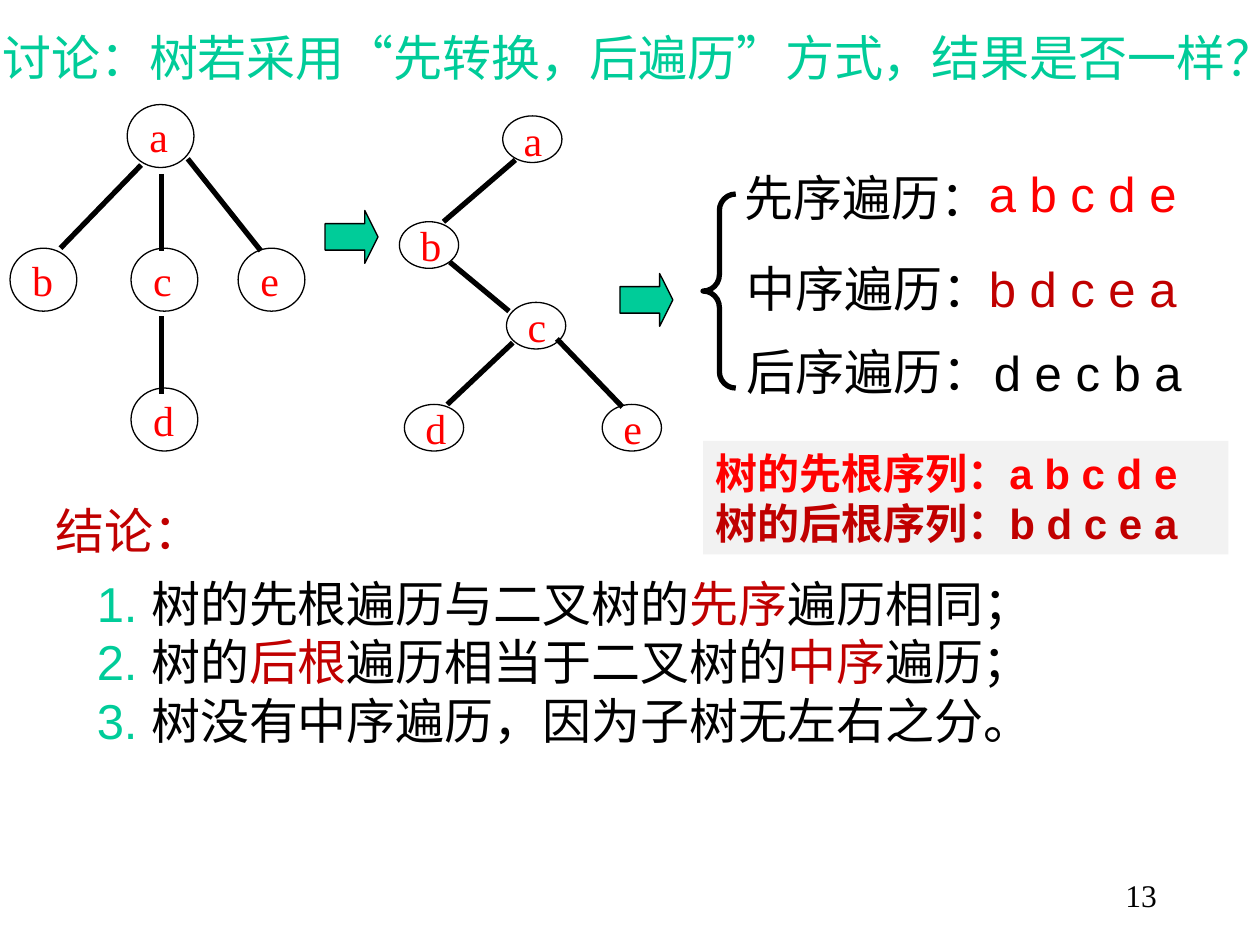
from lxml import etree
from pptx import Presentation
from pptx.dml.color import RGBColor
from pptx.enum.shapes import MSO_CONNECTOR, MSO_SHAPE
from pptx.enum.text import MSO_ANCHOR, PP_ALIGN
from pptx.oxml.ns import qn
from pptx.util import Inches, Pt

OVAL, RECTANGLE = MSO_SHAPE.OVAL, MSO_SHAPE.RECTANGLE
ARROW, BRACE = MSO_SHAPE.RIGHT_ARROW, MSO_SHAPE.LEFT_BRACE
STRAIGHT = MSO_CONNECTOR.STRAIGHT
LEFT, RIGHT = PP_ALIGN.LEFT, PP_ALIGN.RIGHT
TOP, MIDDLE = MSO_ANCHOR.TOP, MSO_ANCHOR.MIDDLE
SANS, SERIF = "Arial", "Times New Roman"
COLORS = {
    "green": "00CC99",
    "red": "FF0000",
    "dark_red": "C00000",
    "black": "000000",
    "pale": "F2F2F2",
}


def color(name):
    """Return the named colour."""
    return RGBColor.from_string(COLORS[name])


def write(shape, paragraphs, size=28, font=SANS, ink="black", bold=False,
          align=LEFT, anchor=TOP, wrap=True):
    """Fill a shape with paragraphs of (text, overrides) spans."""
    frame = shape.text_frame
    frame.word_wrap = wrap
    frame.vertical_anchor = anchor
    for index, spans in enumerate(paragraphs):
        para = frame.add_paragraph() if index else frame.paragraphs[0]
        para.alignment = align
        for text, changes in spans:
            span = para.add_run()
            span.text = text
            span.font.size = Pt(size)
            span.font.bold = bold
            span.font.name = changes.get("font", font)
            span.font.color.rgb = color(changes.get("ink", ink))


def add_text(shapes, left, top, width, height, paragraphs, **format):
    """Add a text box."""
    box = shapes.add_textbox(Inches(left), Inches(top), Inches(width), Inches(height))
    write(box, paragraphs, **format)


def add_shape(shapes, kind, left, top, width, height, fill=None, line=None):
    """Add a preset shape with an optional fill and black outline width."""
    shape = shapes.add_shape(kind, Inches(left), Inches(top), Inches(width), Inches(height))
    shape.shadow.inherit = False
    if fill:
        shape.fill.solid()
        shape.fill.fore_color.rgb = color(fill)
    else:
        shape.fill.background()
    if line:
        shape.line.color.rgb = color("black")
        shape.line.width = Pt(line)
    else:
        shape.line.fill.background()
    return shape


def add_tree(page, left, top, node_size, nodes, edges):
    """Draw a tree from node and edge offsets within its box."""
    shapes = page.shapes.add_group_shape().shapes
    for letter, (x, y) in nodes.items():
        node = add_shape(shapes, OVAL, left + x, top + y, *node_size, line=0.75)
        write(node, [[(letter, {})]], size=24, font=SERIF, ink="red",
              anchor=MIDDLE, wrap=False)
    for x1, y1, x2, y2 in edges:
        edge = shapes.add_connector(STRAIGHT, Inches(left + x1), Inches(top + y1),
                                    Inches(left + x2), Inches(top + y2))
        edge.line.color.rgb = color("black")
        edge.line.width = Pt(3)
        etree.SubElement(edge.line._get_or_add_ln().getparent(), qn("a:effectLst"))


def add_step_arrow(page, left, top):
    """Draw a block arrow between two stages."""
    arrow = add_shape(page.shapes, ARROW, left, top, 0.42, 0.42, fill="green", line=0.75)
    arrow.adjustments[0], arrow.adjustments[1] = 0.5, 0.25


def add_title(page, left, top, width):
    """Write the question for discussion."""
    quote = {"font": SERIF}
    spans = [("讨论：树若采用", {}), ("“", quote), ("先转换，后遍历", {}),
             ("”", quote), ("方式，结果是否一样？", {})]
    add_text(page.shapes, left, top, width, 0.57, [spans], ink="green")


def add_traversals(page, left, top):
    """List the binary tree traversals beside a brace."""
    brace = add_shape(page.shapes, BRACE, left, top + 0.29, 0.26, 1.54, line=3)
    brace.adjustments[0], brace.adjustments[1] = 0.5, 0.5
    rows = [
        ("先序遍历：", 0.23, 0.03, "a b c d e", 2.17, 0, "red"),
        ("中序遍历：", 0.25, 0.75, "b d c e a", 2.17, 0.75, "dark_red"),
        ("后序遍历：", 0.25, 1.41, "d e c b a", 2.21, 1.42, "black"),
    ]
    for label, label_x, label_y, order, order_x, order_y, ink in rows:
        add_text(page.shapes, left + label_x, top + label_y, 2.14, 0.57,
                 [[(label, {})]], wrap=False)
        add_text(page.shapes, left + order_x, top + order_y, 1.83, 0.57,
                 [[(order, {})]], ink=ink)


def add_sequences(page, left, top, width, height):
    """Show the root-order sequences on a pale panel."""
    panel = add_shape(page.shapes, RECTANGLE, left, top, width, height, fill="pale")
    write(panel, [[("树的先根序列：a b c d e", {})],
                  [("树的后根序列：b d c e a", {"ink": "dark_red"})]],
          size=24, ink="red", bold=True)


def add_conclusion(page, left, top):
    """Write the heading and numbered conclusions."""
    add_text(page.shapes, left, top, 1.36, 0.57, [[("结论：", {})]],
             ink="dark_red", wrap=False)
    number, key = {"ink": "green"}, {"ink": "dark_red"}
    points = [
        [("树的先根遍历与二叉树的", {}), ("先序", key), ("遍历相同；", {})],
        [("树的", {}), ("后根", key), ("遍历相当于二叉树的", {}), ("中序", key), ("遍历；", {})],
        [("树没有中序遍历，因为子树无左右之分。", {})],
    ]
    lines = [[(f"{index}. ", number), *spans] for index, spans in enumerate(points, 1)]
    add_text(page.shapes, left + 0.33, top + 0.58, 8.5, 1.5, lines)


def main():
    """Build and save the slide."""
    deck = Presentation()
    deck.slide_width, deck.slide_height = Inches(10), Inches(7.5)
    page = deck.slides.add_slide(deck.slide_layouts[6])
    add_title(page, -0.08, 0.17, 10)
    add_tree(page, 3.17, 0.92, (0.47, 0.37),
             {"a": (0.82, 0), "b": (0, 0.84), "c": (0.85, 1.48),
              "d": (0.04, 2.29), "e": (1.61, 2.29)},
             [(0.92, 0.35, 0.35, 0.84), (0.4, 1.16, 0.87, 1.55),
              (0.9, 1.8, 0.38, 2.29), (1.25, 1.77, 1.77, 2.31)])
    add_tree(page, 0.08, 0.83, (0.53, 0.5),
             {"a": (0.93, 0), "b": (0, 1.14), "c": (0.96, 1.14),
              "d": (0.96, 2.25), "e": (1.81, 1.14)},
             [(1.04, 0.48, 0.4, 1.14), (1.2, 0.55, 1.2, 1.16),
              (1.41, 0.43, 1.99, 1.16), (1.2, 1.68, 1.2, 2.3)])
    add_step_arrow(page, 2.58, 1.67)
    add_step_arrow(page, 4.92, 2.17)
    add_traversals(page, 5.58, 1.25)
    add_sequences(page, 5.58, 3.5, 4.17, 0.9)
    add_conclusion(page, 0.34, 3.92)
    add_text(page.shapes, 7.2, 6.9, 2.08, 0.5, [[("13", {})]],
             size=18, font=SERIF, align=RIGHT)
    deck.save("out.pptx")


if __name__ == "__main__":
    main()
